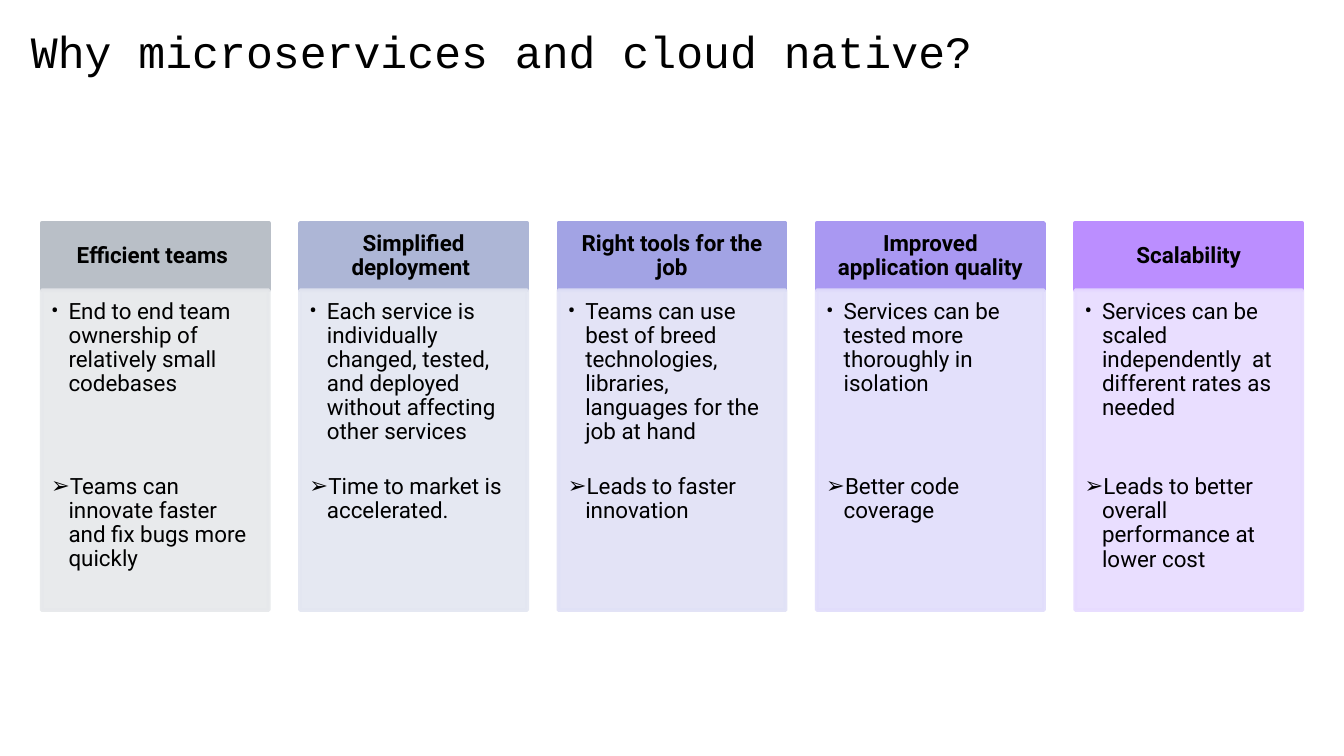
import pptx
import pptx.util
import pptx.dml.color
import pptx.enum.shapes
import pptx.enum.text
from lxml import etree
from pptx.dml.color import RGBColor
from pptx.util import Inches, Pt

TITLE = "Why microservices and cloud native?"
# heading, reason, lines the reason fills, outcome, head colour, body colour
COLUMNS = [
    ("Efficient teams ",
     "End to end team ownership of relatively small codebases", 4,
     "Teams can innovate faster and fix bugs more quickly",
     RGBColor(0xB9, 0xBF, 0xC7), RGBColor(0xE6, 0xE8, 0xEB)),
    ("Simplified deployment ",
     "Each service is individually changed, tested, and deployed "
     "without affecting other services", 6,
     "Time to market is accelerated.",
     RGBColor(0xAD, 0xB6, 0xD6), RGBColor(0xE3, 0xE6, 0xF1)),
    ("Right tools for the job",
     "Teams can use best of breed technologies, libraries, "
     "languages for the job at hand", 6,
     "Leads to faster innovation",
     RGBColor(0xA2, 0xA3, 0xE4), RGBColor(0xE0, 0xE1, 0xF6)),
    ("Improved application quality",
     "Services can be tested more thoroughly in isolation", 4,
     "Better code coverage",
     RGBColor(0xA9, 0x98, 0xF2), RGBColor(0xE1, 0xDD, 0xFB)),
    ("Scalability",
     "Services can be scaled independently  at different rates as needed", 5,
     "Leads to better overall performance at lower cost",
     RGBColor(0xBB, 0x8E, 0xFF), RGBColor(0xE7, 0xDB, 0xFF)),
]

BLACK = RGBColor(0, 0, 0)
WIDE = 10
HIGH = WIDE * 9 / 16
LEFT, TOP, COL_W = 0.31, 1.66, 1.69
HEAD_H, BODY_H = 0.5, 2.38
STEP = (WIDE - 2 * LEFT - COL_W) / (len(COLUMNS) - 1)
LINE_PT, DROP_PT = 12.94, 93.9  # line pitch; from reason to outcome

ALIGN = pptx.enum.text.PP_ALIGN
ANCHOR = pptx.enum.text.MSO_ANCHOR
NS = "{http://schemas.openxmlformats.org/drawingml/2006/main}"

TITLE_FONT = {"name": "Courier New", "size": Pt(24), "bold": False}
HEAD_FONT = {"name": "Roboto", "size": Pt(12), "bold": True}
BODY_FONT = {"name": "Roboto", "size": Pt(12), "bold": False}
TITLE_PARA = {"alignment": ALIGN.LEFT, "line_spacing": Pt(28), "space_after": Pt(18)}
HEAD_PARA = {"alignment": ALIGN.CENTER, "line_spacing": 0.9}
BODY_PARA = {"alignment": ALIGN.LEFT, "line_spacing": 0.9, "level": 1}


def put(item, values):
    for name, value in values.items():
        setattr(item, name, value)


def frame(shape, anchor, left, top, right, bottom):
    put(shape.text_frame, {
        "word_wrap": True, "vertical_anchor": anchor,
        "margin_left": Inches(left), "margin_top": Inches(top),
        "margin_right": Inches(right), "margin_bottom": Inches(bottom)})
    return shape.text_frame


def write(para, text, font, values):
    put(para, values)
    run = para.add_run()
    run.text = text
    put(run.font, font)
    run.font.color.rgb = BLACK


def bullet(para, mark):
    props = para._p.get_or_add_pPr()
    props.set("marL", str(Inches(0.13)))
    props.set("indent", str(-Inches(0.13)))
    etree.SubElement(props, NS + "buFont", typeface="Roboto")
    etree.SubElement(props, NS + "buChar", char=mark)


def panel(slide, left, top, height, color, alpha=100):
    """Add a filled rectangle; alpha is its opacity in percent."""
    box = slide.shapes.add_shape(
        pptx.enum.shapes.MSO_SHAPE.RECTANGLE,
        Inches(left), Inches(top), Inches(COL_W), Inches(height))
    box.shadow.inherit = False
    box.fill.solid()
    box.fill.fore_color.rgb = color
    box.line.color.rgb = color
    box.line.width = Pt(2)
    if alpha < 100:
        for tint in box._element.spPr.iter(NS + "srgbClr"):
            etree.SubElement(tint, NS + "alpha", val=str(alpha * 1000))
    return box


def column(slide, left, head, reason, lines, outcome, dark, light):
    box = panel(slide, left, TOP, HEAD_H, dark)
    text = frame(box, ANCHOR.MIDDLE, 0.09, 0.05, 0.09, 0.05)
    write(text.paragraphs[0], head, HEAD_FONT, HEAD_PARA)

    box = panel(slide, left, TOP + HEAD_H, BODY_H, light, 90)
    text = frame(box, ANCHOR.TOP, 0.07, 0.07, 0.09, 0.1)
    first, last = text.paragraphs[0], text.add_paragraph()
    for para, mark, words in ((first, "•", reason), (last, "➢", outcome)):
        bullet(para, mark)
        write(para, words, BODY_FONT, BODY_PARA)
    first.space_after = Pt(round(DROP_PT - lines * LINE_PT, 1))


def main():
    deck = pptx.Presentation()
    put(deck, {"slide_width": Inches(WIDE), "slide_height": Inches(HIGH)})
    slide = deck.slides.add_slide(deck.slide_layouts[5])

    title = slide.shapes.title
    put(title, {"left": Inches(0.23), "top": Inches(0.19),
                "width": Inches(7.87), "height": Inches(0.88)})
    text = frame(title, ANCHOR.TOP, 0, 0, 0, 0)
    text.auto_size = pptx.enum.text.MSO_AUTO_SIZE.NONE
    write(text.paragraphs[0], TITLE, TITLE_FONT, TITLE_PARA)

    for i, parts in enumerate(COLUMNS):
        column(slide, LEFT + i * STEP, *parts)
    deck.save("out.pptx")


if __name__ == "__main__":
    main()
